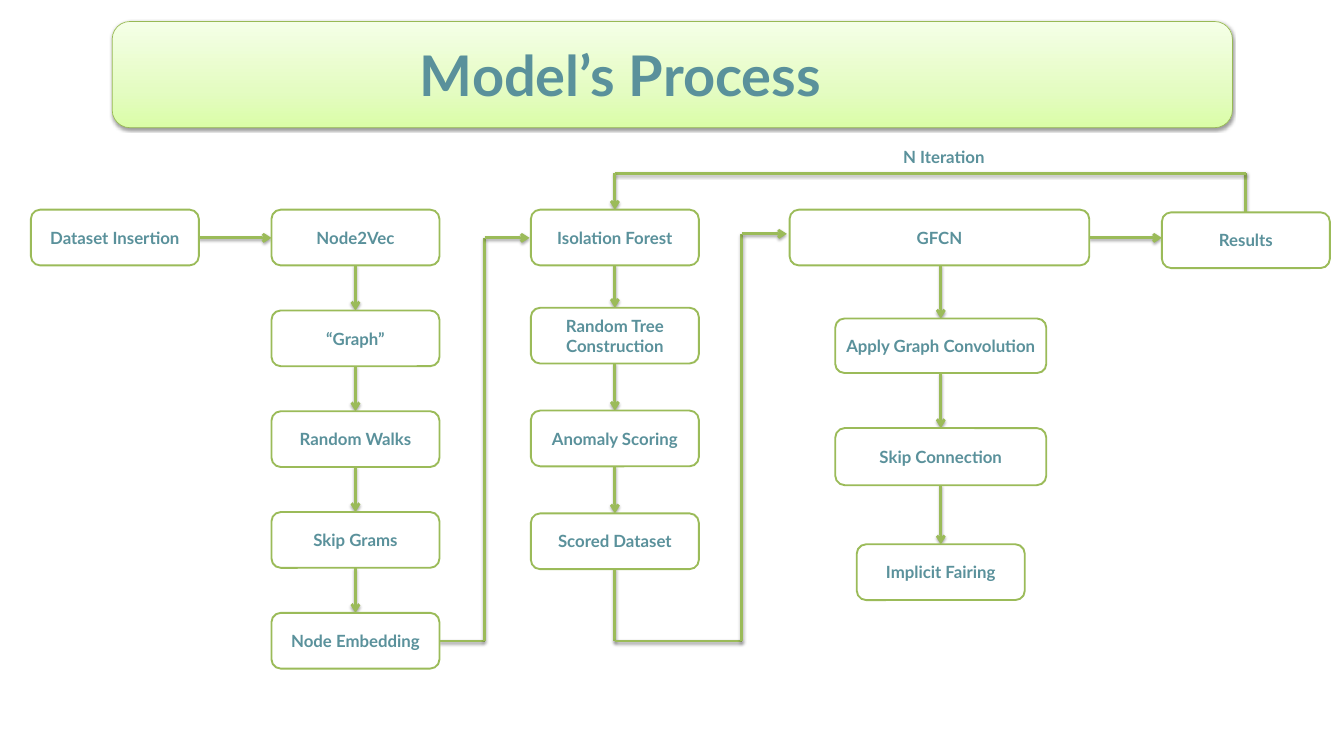
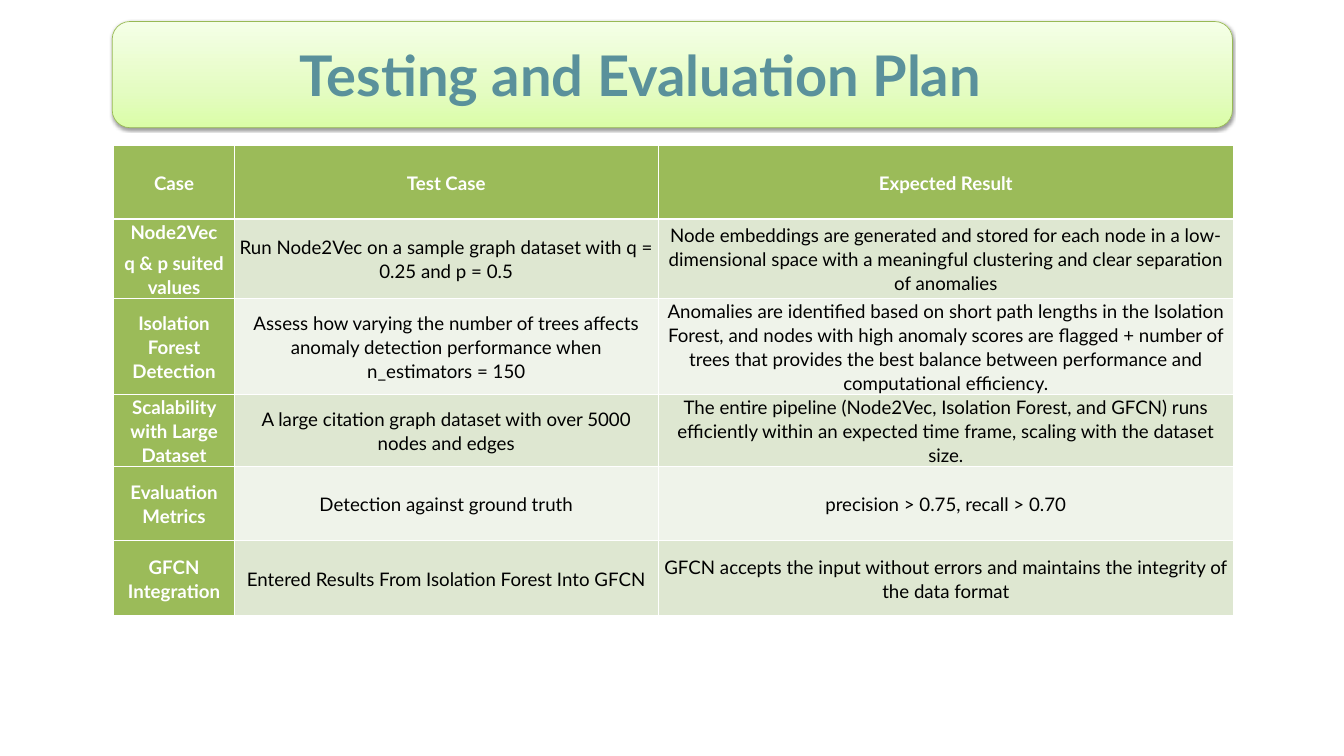
"""Build two slides: the model's process flow and its testing plan."""
from itertools import pairwise

from lxml import etree
from pptx import Presentation
from pptx.dml.color import RGBColor
from pptx.enum import shapes, text
from pptx.oxml.ns import qn
from pptx.util import Inches, Pt

FONT = "Lato"
TEAL = RGBColor(0x5A, 0x91, 0x9B)
GREEN = RGBColor(0x9B, 0xBB, 0x59)
BAND_EDGE = RGBColor(0x98, 0xB9, 0x55)
WHITE = RGBColor(0xFF, 0xFF, 0xFF)
BLACK = RGBColor(0, 0, 0)
ROW_TINTS = (RGBColor(0xDE, 0xE7, 0xD1), RGBColor(0xEF, 0xF3, 0xEA))
BAND_STOPS = ((0, RGBColor(0xDA, 0xFD, 0xA7)), (35, RGBColor(0xE4, 0xFC, 0xC2)),
              (100, RGBColor(0xF5, 0xFF, 0xE7)))

BOX_WIDTH, BOX_HEIGHT = 2.5, 0.83
MAIN_TOP, MAIN_LINE = 3.12, 3.54
LOOP_TOP, RETURN_LINE = 2.58, 9.54

STAGES = [
    [("Dataset Insertion", 0.46, MAIN_TOP, BOX_WIDTH, BOX_HEIGHT)],
    [(name, 4.04, MAIN_TOP + 1.5 * step, BOX_WIDTH, BOX_HEIGHT) for step, name in enumerate(
        ["Node2Vec", "“Graph”", "Random Walks", "Skip Grams", "Node Embedding"])],
    [(name, 7.9, top, BOX_WIDTH, BOX_HEIGHT) for name, top in [
        ("Isolation Forest", MAIN_TOP), ("Random Tree Construction", 4.58),
        ("Anomaly Scoring", 6.11), ("Scored Dataset", 7.64)]],
    [("GFCN", 11.75, MAIN_TOP, 4.46, BOX_HEIGHT),
     ("Apply Graph Convolution", 12.43, 4.74, 3.14, 0.81),
     ("Skip Connection", 12.43, 6.37, 3.14, 0.85),
     ("Implicit Fairing", 12.75, 8.1, BOX_WIDTH, BOX_HEIGHT)],
    [("Results", 17.29, 3.16, BOX_WIDTH, BOX_HEIGHT)],
]

ROUTES = [
    [(2.96, MAIN_LINE), (4.04, MAIN_LINE)],
    [(6.54, RETURN_LINE), (7.21, RETURN_LINE), (7.21, MAIN_LINE), (7.88, MAIN_LINE)],
    [(9.15, 8.46), (9.15, RETURN_LINE), (11.04, RETURN_LINE), (11.04, 3.48), (11.71, 3.48)],
    [(16.21, MAIN_LINE), (17.29, MAIN_LINE)],
    [(18.54, 3.16), (18.54, LOOP_TOP), (9.15, LOOP_TOP), (9.15, MAIN_TOP)],
]

COLUMN_WIDTHS = (1.8, 6.3, 8.57)
ROW_HEIGHTS = (1.09, 1.11, 0.55, 0.55, 1.11, 1.11)
TEST_PLAN = [
    ("Case", "Test Case", "Expected Result"),
    ("Node2Vec\nq & p suited values",
     "Run Node2Vec on a sample graph dataset with q = 0.25 and p = 0.5",
     "Node embeddings are generated and stored for each node in a low-dimensional space "
     "with a meaningful clustering and clear separation of anomalies"),
    ("Isolation Forest Detection",
     "Assess how varying the number of trees affects anomaly detection performance when "
     "n_estimators = 150",
     "Anomalies are identified based on short path lengths in the Isolation Forest, and nodes "
     "with high anomaly scores are flagged + number of trees that provides the best balance "
     "between performance and computational efficiency."),
    ("Scalability with Large Dataset",
     "A large citation graph dataset with over 5000 nodes and edges",
     "The entire pipeline (Node2Vec, Isolation Forest, and GFCN) runs efficiently within an "
     "expected time frame, scaling with the dataset size."),
    ("Evaluation Metrics", "Detection against ground truth",
     "precision > 0.75, recall > 0.70"),
    ("GFCN Integration", "Entered Results From Isolation Forest Into GFCN",
     "GFCN accepts the input without errors and maintains the integrity of the data format"),
]


def inches(*lengths):
    return [Inches(length) for length in lengths]


def add_node(parent, tag, **attributes):
    values = {name: str(value) for name, value in attributes.items()}
    return etree.SubElement(parent, qn(f"a:{tag}"), values)


def add_shadow(effects, distance, opacity):
    shadow = add_node(effects, "outerShdw", blurRad=Pt(3.1), dist=Pt(distance),
                      dir=5400000, rotWithShape=0)
    color = add_node(shadow, "srgbClr", val=BLACK)
    add_node(color, "alpha", val=opacity * 1000)


def write(frame, content, size=18, color=TEAL, bold=True, align=text.PP_ALIGN.CENTER,
          spacing=None, after=None):
    frame.text = content
    for paragraph in frame.paragraphs:
        paragraph.alignment = align
        paragraph.line_spacing = spacing
        paragraph.space_after = after
        font = paragraph.runs[0].font
        font.name, font.size, font.bold = FONT, Pt(size), bold
        font.color.rgb = color


def add_label(slide, content, place, inset=None, wrap=True, **style):
    frame = slide.shapes.add_textbox(*inches(*place)).text_frame
    frame.word_wrap = wrap
    frame.auto_size = text.MSO_AUTO_SIZE.SHAPE_TO_FIT_TEXT
    if inset is not None:
        frame.margin_left = frame.margin_right = Inches(inset)
        frame.margin_top = frame.margin_bottom = Inches(inset)
    write(frame, content, **style)


def add_round_box(slide, place, edge, weight):
    box = slide.shapes.add_shape(shapes.MSO_SHAPE.ROUNDED_RECTANGLE, *inches(*place))
    box.line.color.rgb = edge
    box.line.width = Pt(weight)
    box.shadow.inherit = False
    return box


def add_title(slide, title, left, width):
    band = add_round_box(slide, (1.67, 0.32, 16.67, 1.58), BAND_EDGE, 0.75)
    band.fill.gradient()
    band.fill.gradient_angle = 90
    properties = band._element.spPr
    stops = properties.find(f".//{qn('a:gsLst')}")
    stops[:] = []
    for position, color in BAND_STOPS:
        add_node(add_node(stops, "gs", pos=position * 1000), "srgbClr", val=color)
    add_shadow(properties.find(qn("a:effectLst")), 1.6, 38)
    add_label(slide, title, (left, 0.61, width, 1.01), inset=0, size=60,
              align=text.PP_ALIGN.LEFT)


def add_route(slide, points):
    for start, end in pairwise(points):
        connector = slide.shapes.add_connector(
            shapes.MSO_CONNECTOR.STRAIGHT, *inches(*start, *end))
        connector.line.color.rgb = GREEN
        connector.line.width = Pt(3)
        properties = connector._element.spPr
        if end == points[-1]:
            add_node(properties.find(qn("a:ln")), "tailEnd", type="arrow")
        add_shadow(add_node(properties, "effectLst"), 1.8, 35)


def add_step(slide, name, *place):
    box = add_round_box(slide, place, GREEN, 2)
    box.fill.solid()
    box.fill.fore_color.rgb = WHITE
    box.text_frame.word_wrap = True
    box.text_frame.vertical_anchor = text.MSO_ANCHOR.MIDDLE
    write(box.text_frame, name)


def build_process(slide):
    add_title(slide, "Model’s Process", 6.25, 9.5)
    for stage in STAGES:
        for upper, lower in pairwise(stage):
            center = lower[1] + lower[3] / 2
            add_route(slide, [(center, upper[2] + upper[4]), (center, lower[2])])
    for route in ROUTES:
        add_route(slide, route)
    for stage in STAGES:
        for step in stage:
            add_step(slide, *step)
    add_label(slide, "N Iteration", (13.25, 2.13, 1.5, 0.4), wrap=False,
              align=text.PP_ALIGN.RIGHT)


def add_borders(cell, row):
    weights = {"lnL": 1, "lnR": 1, "lnT": 3 if row == 1 else 1, "lnB": 3 if row == 0 else 1}
    properties = cell._tc.get_or_add_tcPr()
    for index, (side, weight) in enumerate(weights.items()):
        border = add_node(properties, side, w=Pt(weight))
        add_node(add_node(border, "solidFill"), "srgbClr", val=WHITE)
        properties.insert(index, border)


def build_test_plan(slide):
    add_title(slide, "Testing and Evaluation Plan", 4.46, 11.08)
    frame = slide.shapes.add_table(len(TEST_PLAN), len(COLUMN_WIDTHS),
                                   *inches(1.69, 2.17, 16.67, 6.9))
    table = frame.table
    for column, width in zip(table.columns, COLUMN_WIDTHS):
        column.width = Inches(width)
    for row, height in zip(table.rows, ROW_HEIGHTS):
        row.height = Inches(height)
    frame.height = Inches(6.9)
    for row, contents in enumerate(TEST_PLAN):
        for column, content in enumerate(contents):
            cell = table.cell(row, column)
            heading = row == 0 or column == 0
            cell.fill.solid()
            cell.fill.fore_color.rgb = GREEN if heading else ROW_TINTS[(row - 1) % 2]
            cell.vertical_anchor = text.MSO_ANCHOR.MIDDLE
            cell.margin_left = cell.margin_right = Inches(0.07)
            cell.margin_top = cell.margin_bottom = 0
            write(cell.text_frame, content, size=20, color=WHITE if heading else BLACK,
                  bold=heading, spacing=1.07, after=Pt(8))
            add_borders(cell, row)


def main():
    presentation = Presentation()
    presentation.slide_width, presentation.slide_height = inches(20, 11.25)
    for build in (build_process, build_test_plan):
        build(presentation.slides.add_slide(presentation.slide_layouts[6]))
    presentation.save("out.pptx")


if __name__ == "__main__":
    main()
